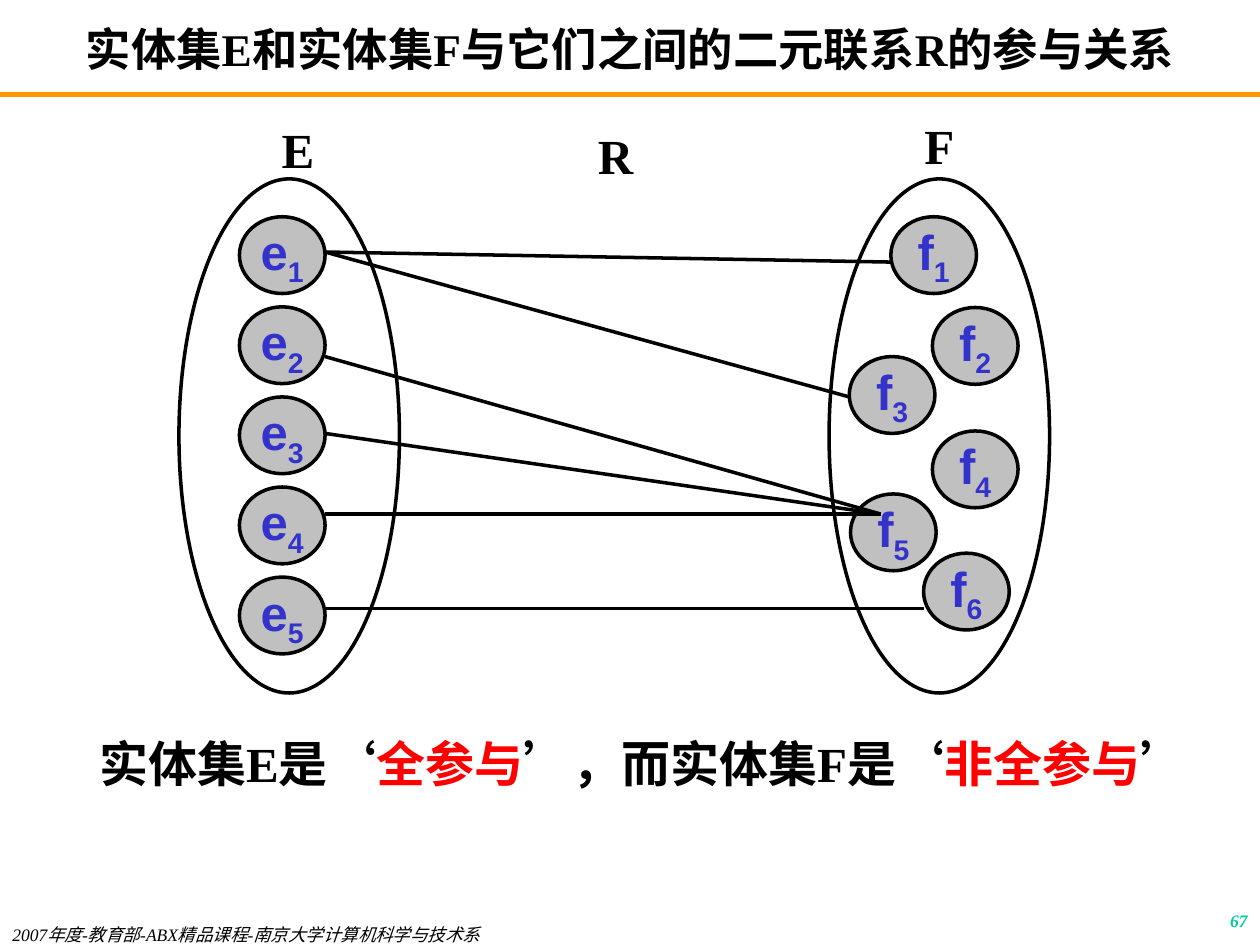
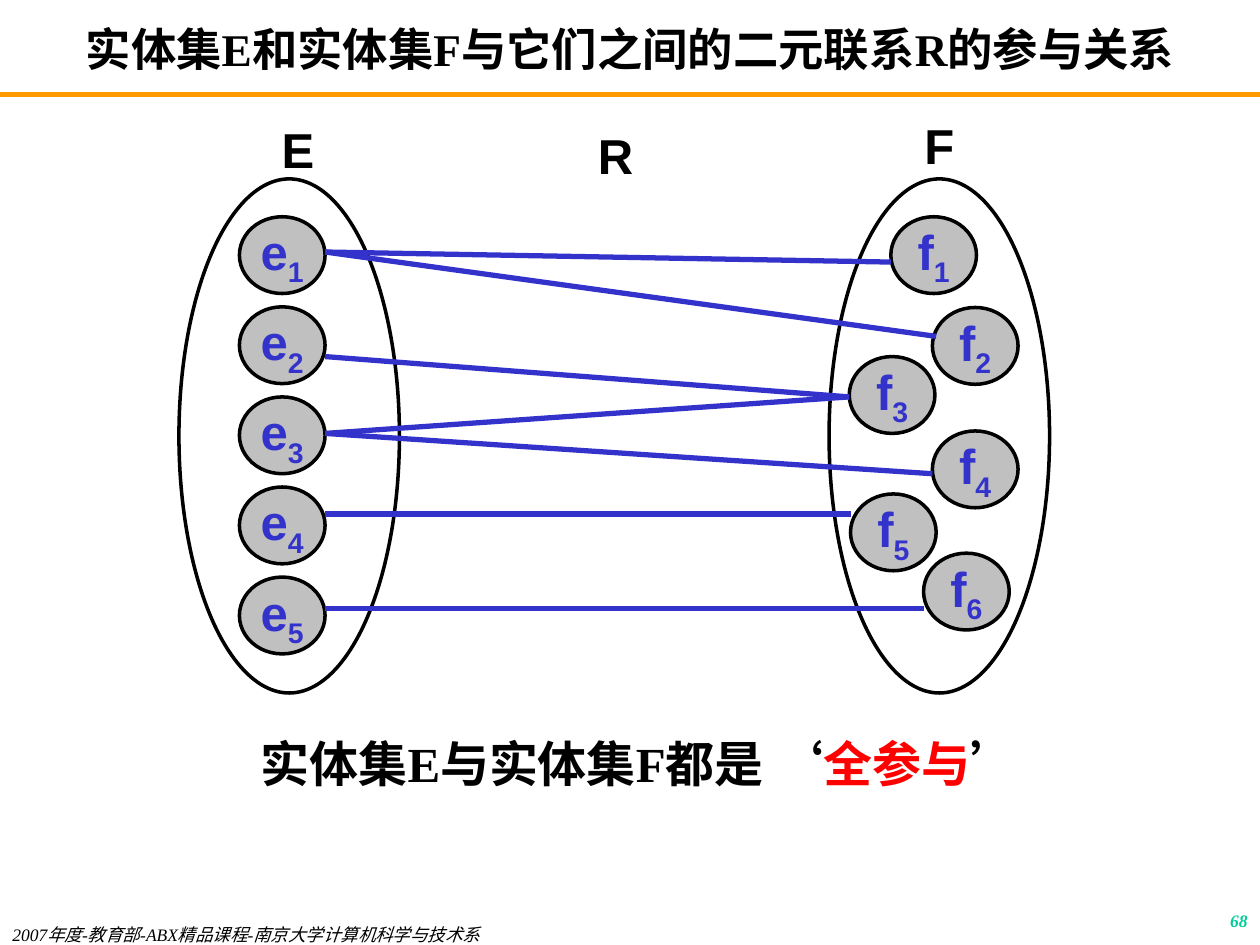
"""Build two slides on how entity sets E and F take part in relation R."""
import dataclasses

import pptx
import pptx.dml.color
import pptx.enum.lang
import pptx.enum.shapes
import pptx.enum.text
import pptx.oxml
import pptx.oxml.ns
import pptx.util

Inches = pptx.util.Inches
Pt = pptx.util.Pt
ALIGN = pptx.enum.text.PP_ALIGN
KIND = pptx.enum.shapes.MSO_SHAPE


@dataclasses.dataclass(frozen=True)
class Theme:
    """Colours, fonts and type sizes."""
    black: str = "000000"
    white: str = "FFFFFF"
    gray: str = "C0C0C0"
    blue: str = "3333CC"
    red: str = "FF0000"
    green: str = "00CC99"
    gold: str = "FF9900"
    serif: str = "Times New Roman"
    sans: str = "Arial"
    title: float = 25.9
    body: float = 28
    foot: float = 10


LOOK = Theme()
TITLE = "实体集E和实体集F与它们之间的二元联系R的参与关系"
FOOT = "2007年度-教育部-ABX精品课程-南京大学计算机科学与技术系"

LABELS = {"E": (1.9, 0.95), "F": (6.99, 0.92), "R": (4.42, 1)}
SETS = {"E": 1.42, "F": 6.58}
NODE = (0.68, 0.61)
E_TOP, E_STEP, E_LEFT = 1.72, 0.715, 1.9
F_NODES = [(7.07, 1.72), (7.4, 2.44), (6.74, 2.83), (7.4, 3.42), (6.75, 3.92), (7.33, 4.39)]
E_PORTS = [2, 2.83, 3.44, 4.08, 4.83]
F_PORTS = [(7.07, 2.08), (7.43, 2.67), (6.74, 3.15), (7.4, 3.76), (6.75, 4.08), (7.33, 4.83)]

SLIDES = [
    {
        "page": "67",
        "font": LOOK.serif,
        "links": [(1, 1), (1, 3), (2, 5), (3, 5), (4, 5), (5, 6)],
        "moved": {5: (6.99, 4.08)},
        "line": (LOOK.black, 2),
        "box": (0.51, 5.77, 9.21, 1.04),
        "note": [("实体集E是‘", LOOK.black), ("全参与", LOOK.red), ("’，而实体集F是‘", LOOK.black),
                 ("非全参与", LOOK.red), ("’", LOOK.black)],
    },
    {
        "page": "68",
        "font": LOOK.sans,
        "links": [(1, 1), (1, 2), (2, 3), (4, 5), (5, 6), (3, 3), (3, 4)],
        "moved": {},
        "line": (LOOK.blue, 3),
        "box": (0.83, 5.77, 8.5, 0.57),
        "note": [("实体集E与实体集F都是 ‘", LOOK.black), ("全参与", LOOK.red), ("’", LOOK.black)],
    },
]


def rgb(hue):
    """Turn a hex string into a colour."""
    return pptx.dml.color.RGBColor.from_string(hue)


def style(run, size, hue, face=LOOK.serif, bold=True, slant=False):
    """Format one run."""
    font = run.font
    font.name, font.size, font.bold, font.italic = face, Pt(size), bold, slant
    font.color.rgb = rgb(hue)
    font.language_id = pptx.enum.lang.MSO_LANGUAGE_ID.SIMPLIFIED_CHINESE


def inset(frame, side, top):
    """Set the margins of a text frame."""
    frame.margin_left = frame.margin_right = Inches(side)
    frame.margin_top = frame.margin_bottom = Inches(top)


def write(slide, box, parts, size, align=ALIGN.CENTER, pad=(0.1, 0.05), **kind):
    """Add a text box of coloured parts."""
    frame = slide.shapes.add_textbox(*map(Inches, box)).text_frame
    frame.word_wrap = True
    inset(frame, *pad)
    para = frame.paragraphs[0]
    para.alignment = align
    for text, hue in parts:
        run = para.add_run()
        run.text = text
        style(run, size, hue, **kind)


def join(slide, start, end, hue, width):
    """Draw a straight line."""
    line = slide.shapes.add_connector(
        pptx.enum.shapes.MSO_CONNECTOR.STRAIGHT, *map(Inches, (*start, *end)))
    line.line.color.rgb = rgb(hue)
    line.line.width = Pt(width)
    props = line._element.find(pptx.oxml.ns.qn("p:spPr"))
    props.append(pptx.oxml.parse_xml(f'<a:effectLst {pptx.oxml.ns.nsdecls("a")}/>'))


def draw(slide, kind, box, fill):
    """Draw an outlined shape."""
    shape = slide.shapes.add_shape(kind, *map(Inches, box))
    shape.shadow.inherit = False
    shape.fill.solid()
    shape.fill.fore_color.rgb = rgb(fill)
    shape.line.color.rgb = rgb(LOOK.black)
    shape.line.width = Pt(2)
    return shape


def node(slide, spot, name, rank):
    """Draw a member with its index set low."""
    frame = draw(slide, KIND.FLOWCHART_CONNECTOR, (*spot, *NODE), LOOK.gray).text_frame
    frame.word_wrap = False
    frame.vertical_anchor = pptx.enum.text.MSO_ANCHOR.MIDDLE
    inset(frame, 0, 0)
    para = frame.paragraphs[0]
    para.alignment = ALIGN.CENTER
    for text in (name, str(rank)):
        run = para.add_run()
        run.text = text
        style(run, LOOK.body, LOOK.blue, LOOK.sans)
    run._r.get_or_add_rPr().set("baseline", "-25000")


def base(slide, page):
    """Add the title, band and footers."""
    join(slide, (0, 0.75), (10, 0.75), LOOK.gold, 3)
    write(slide, (7.92, 7.17, 2.08, 0.33), [(page, LOOK.green)], LOOK.foot,
          ALIGN.RIGHT, slant=True)
    write(slide, (0, 7.33, 5.5, 0.17), [(FOOT, LOOK.black)], LOOK.foot,
          ALIGN.LEFT, (0.1, 0), bold=False, slant=True)
    head = slide.shapes.title
    head.left, head.top, head.width, head.height = map(Inches, (0, 0.17, 10, 0.58))
    frame = head.text_frame
    frame.text = TITLE
    frame.auto_size = pptx.enum.text.MSO_AUTO_SIZE.NONE
    frame.vertical_anchor = pptx.enum.text.MSO_ANCHOR.TOP
    para = frame.paragraphs[0]
    para.alignment = ALIGN.CENTER
    para.line_spacing = 0.9
    style(para.runs[0], LOOK.title, LOOK.black)


def graph(slide, data):
    """Draw both sets, their members and the links."""
    spots = {
        "E": [(E_LEFT, E_TOP + i * E_STEP) for i in range(len(E_PORTS))],
        "F": F_NODES,
    }
    for name, left in SETS.items():
        draw(slide, KIND.OVAL, (left, 1.42, 1.75, 4.08), LOOK.white)
        for rank, spot in enumerate(spots[name], 1):
            node(slide, spot, name.lower(), rank)
    for name, spot in LABELS.items():
        write(slide, (*spot, 0.93, 0.47), [(name, LOOK.black)], LOOK.body,
              pad=(0, 0), face=data["font"])
    for e, f in data["links"]:
        end = data["moved"].get(f, F_PORTS[f - 1])
        join(slide, (E_LEFT + NODE[0], E_PORTS[e - 1]), end, *data["line"])


def main():
    """Build and save the deck."""
    deck = pptx.Presentation()
    deck.slide_width, deck.slide_height = Inches(10), Inches(7.5)
    for data in SLIDES:
        slide = deck.slides.add_slide(deck.slide_layouts[5])
        base(slide, data["page"])
        graph(slide, data)
        write(slide, data["box"], data["note"], LOOK.body)
    deck.save("out.pptx")


if __name__ == "__main__":
    main()
